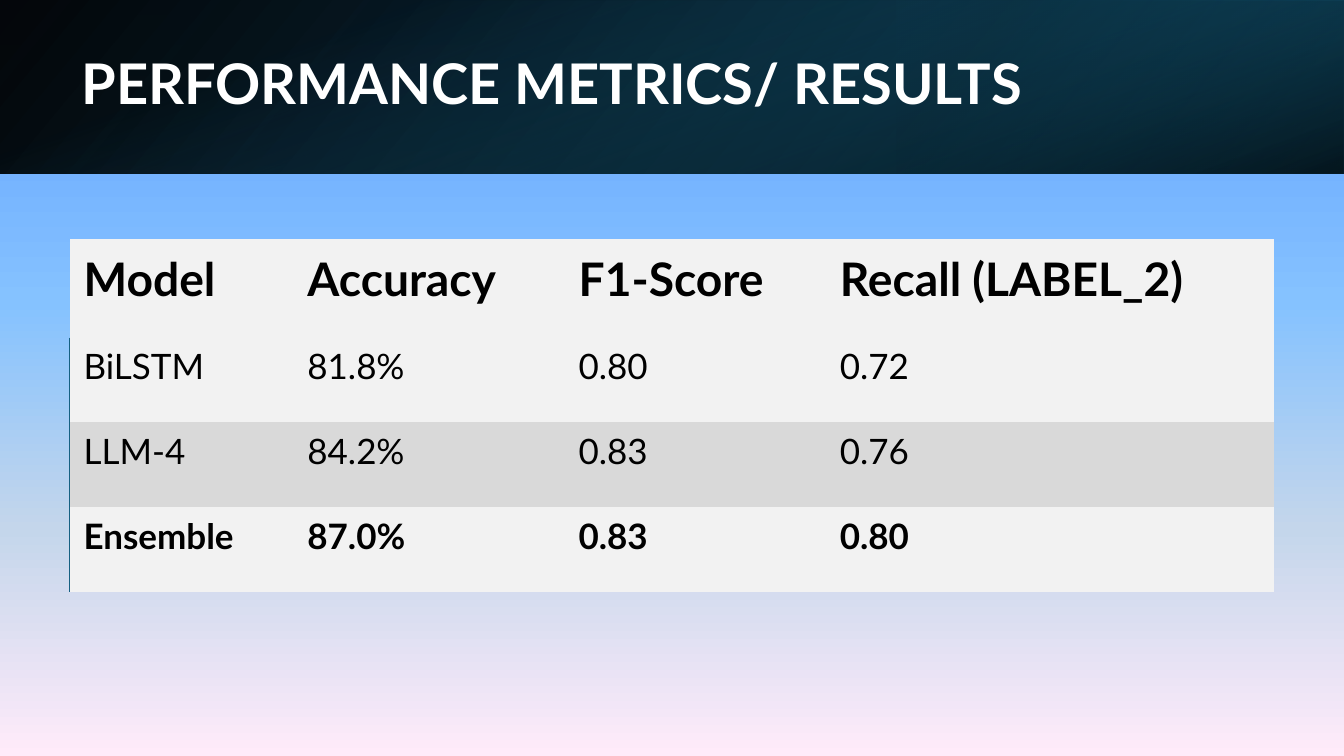
from lxml import etree
from pptx import Presentation
from pptx.dml.color import RGBColor
from pptx.enum.shapes import MSO_SHAPE
from pptx.enum.text import MSO_ANCHOR, MSO_AUTO_SIZE, PP_ALIGN
from pptx.oxml.ns import qn
from pptx.util import Inches, Pt

RECTANGLE = MSO_SHAPE.RECTANGLE
MIDDLE, BOTTOM = MSO_ANCHOR.MIDDLE, MSO_ANCHOR.BOTTOM
FONT = "Lato"
BLACK = RGBColor(0x00, 0x00, 0x00)
WHITE = RGBColor(0xFF, 0xFF, 0xFF)
LIGHT_GRAY = RGBColor(0xF2, 0xF2, 0xF2)
MID_GRAY = RGBColor(0xD9, 0xD9, 0xD9)
TEAL = RGBColor(0x15, 0x60, 0x82)
DEEP_TEAL = RGBColor(0x10, 0x48, 0x62)
DARK_TEAL = RGBColor(0x0B, 0x30, 0x41)

TITLE = "PERFORMANCE METRICS/ RESULTS"
RESULTS = [
    ("Model", "Accuracy", "F1-Score", "Recall (LABEL_2)"),
    ("BiLSTM", "81.8%", "0.80", "0.72"),
    ("LLM-4", "84.2%", "0.83", "0.76"),
    ("Ensemble", "87.0%", "0.83", "0.80"),
]
COLUMN_WIDTHS = (2.22, 2.69, 2.59, 4.45)
ROW_HEIGHTS = (0.98, 0.84, 0.84, 0.84)

# Gradient stops: position %, colour, opacity %
SKY = [
    (0, RGBColor(0x5E, 0x9E, 0xFF), 100),
    (40, RGBColor(0x85, 0xC2, 0xFF), 100),
    (70, RGBColor(0xC4, 0xD6, 0xEB), 100),
    (100, RGBColor(0xFF, 0xEB, 0xFA), 100),
]
# Header layers: box, rotation, mirrored, stops, gradient angle
HEADER_LAYERS = [
    ((0, 0, 13.33, 1.72), 0, True, [(0, BLACK, 96), (100, DEEP_TEAL, 100)], 140),
    ((8.89, 0, 4.44, 1.72), 180, True, [(19, DARK_TEAL, 68), (100, TEAL, 79)], 320),
    ((5.8, -5.8, 1.72, 13.33), 90, False, [(23, TEAL, 0), (99, BLACK, 74)], 340),
]


def set_gradient(fill, properties, stops, angle):
    """Fill with a linear gradient; the angle runs clockwise in degrees."""
    fill.gradient()
    gradient = properties.find(qn("a:gradFill"))
    stop_list = gradient.find(qn("a:gsLst"))
    for old_stop in list(stop_list):
        stop_list.remove(old_stop)
    for position, color, opacity in stops:
        stop = etree.SubElement(stop_list, qn("a:gs"), pos=str(position * 1000))
        value = etree.SubElement(stop, qn("a:srgbClr"), val=str(color))
        if opacity < 100:
            etree.SubElement(value, qn("a:alpha"), val=str(opacity * 1000))
    direction = gradient.find(qn("a:lin"))
    direction.set("ang", str(angle * 60000))
    direction.set("scaled", "0")


def add_header(slide):
    for box, rotation, mirrored, stops, angle in HEADER_LAYERS:
        layer = slide.shapes.add_shape(RECTANGLE, *map(Inches, box))
        layer.rotation = rotation
        layer.shadow.inherit = False
        layer.line.fill.background()
        properties = layer._element.spPr
        if mirrored:
            properties.find(qn("a:xfrm")).set("flipH", "1")
        set_gradient(layer.fill, properties, stops, angle)


def add_title(slide):
    title = slide.shapes.title
    title.left, title.top, title.width, title.height = map(
        Inches, (0.71, 0.38, 11.77, 0.96))
    frame = title.text_frame
    frame.text = TITLE
    frame.auto_size = MSO_AUTO_SIZE.NONE
    frame.vertical_anchor = MIDDLE
    paragraph = frame.paragraphs[0]
    paragraph.alignment = PP_ALIGN.LEFT
    paragraph.line_spacing = 0.9
    style_font(paragraph.font, 40, True, WHITE)
    slide.shapes._spTree.append(title._element)  # bring above the header layers


def style_font(font, size, bold, color):
    font.name, font.size, font.bold = FONT, Pt(size), bold
    font.color.rgb = color


def add_left_border(cell):
    line = etree.Element(qn("a:lnL"), w=str(Pt(1)))
    fill = etree.SubElement(line, qn("a:solidFill"))
    etree.SubElement(fill, qn("a:srgbClr"), val=str(TEAL))
    cell._tc.get_or_add_tcPr().insert(0, line)


def add_results(slide):
    table = slide.shapes.add_table(
        len(RESULTS), len(COLUMN_WIDTHS), Inches(0.69), Inches(2.37),
        Inches(sum(COLUMN_WIDTHS)), Inches(sum(ROW_HEIGHTS))).table
    # "No Style, No Grid"
    table._tbl.tblPr.find(qn("a:tableStyleId")).text = (
        "{2D5ABB26-0587-4C30-8999-92F81FD0307C}")
    for column, width in zip(table.columns, COLUMN_WIDTHS):
        column.width = Inches(width)
    for row, height in zip(table.rows, ROW_HEIGHTS):
        row.height = Inches(height)
    for row_index, values in enumerate(RESULTS):
        is_header = row_index == 0
        is_bold = is_header or row_index == len(RESULTS) - 1
        for column_index, value in enumerate(values):
            cell = table.cell(row_index, column_index)
            cell.text = value
            cell.margin_left, cell.margin_top = Inches(0.14), Inches(0.04)
            cell.margin_right, cell.margin_bottom = Inches(0.21), Inches(0.31)
            cell.vertical_anchor = BOTTOM if is_header else MIDDLE
            cell.fill.solid()
            cell.fill.fore_color.rgb = MID_GRAY if row_index == 2 else LIGHT_GRAY
            style_font(cell.text_frame.paragraphs[0].font,
                       33 if is_header else 25, is_bold, BLACK)
            if column_index == 0 and not is_header:
                add_left_border(cell)


def main():
    presentation = Presentation()
    presentation.slide_width = Inches(13.33)
    presentation.slide_height = Inches(7.5)
    slide = presentation.slides.add_slide(presentation.slide_layouts[5])
    background_fill = slide.background.fill
    set_gradient(background_fill, slide._element.cSld.bg.bgPr, SKY, 90)
    add_header(slide)
    add_title(slide)
    add_results(slide)
    presentation.save("out.pptx")


if __name__ == "__main__":
    main()
